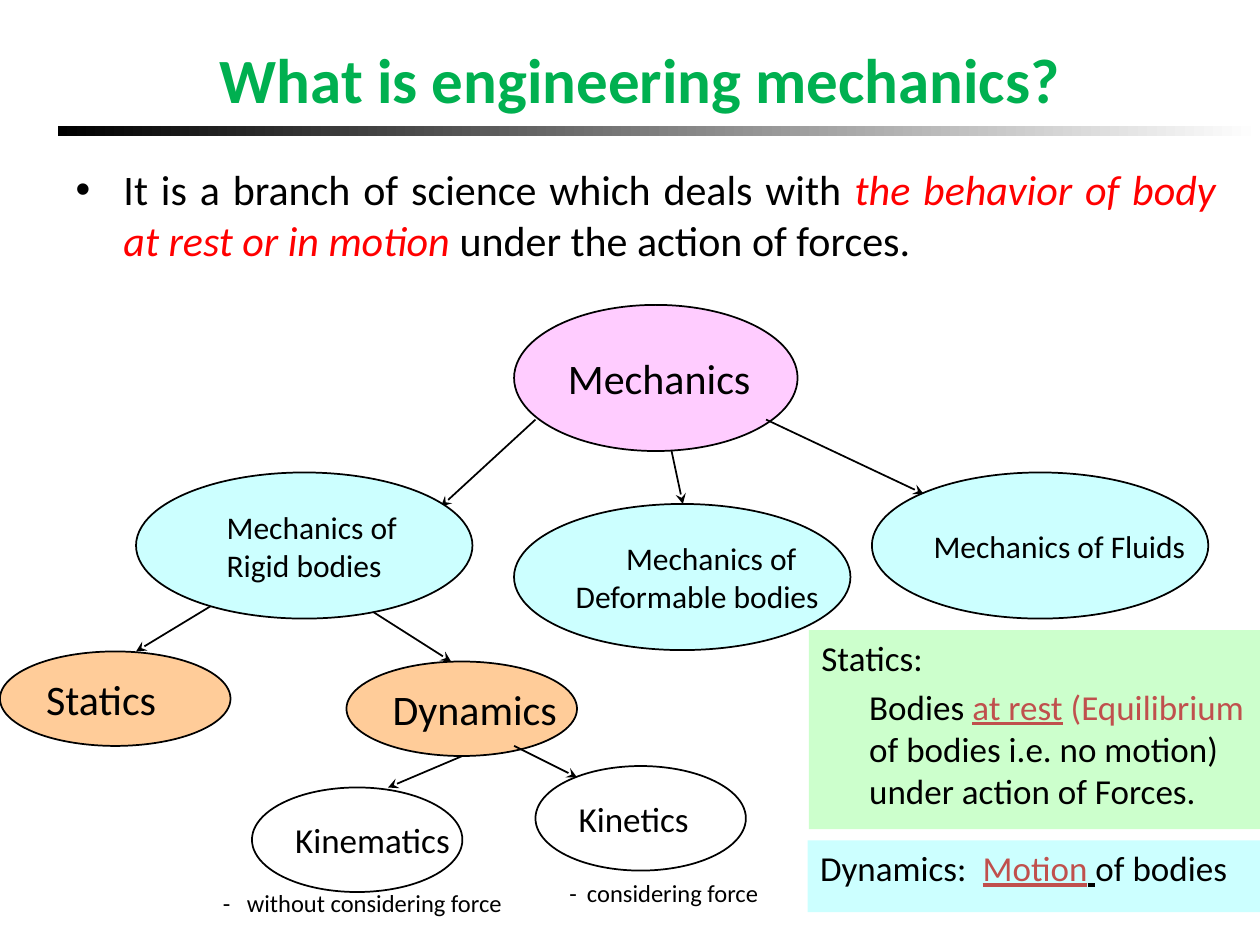
from dataclasses import dataclass

from lxml import etree
from pptx import Presentation
from pptx import util as u
from pptx.dml.color import RGBColor
from pptx.enum import shapes, text
from pptx.oxml import ns

BLACK = RGBColor(0x00, 0x00, 0x00)
WHITE = RGBColor(0xFF, 0xFF, 0xFF)
GREEN = RGBColor(0x00, 0xB0, 0x50)
RED = RGBColor(0xFF, 0x00, 0x00)
BRICK = RGBColor(0xC0, 0x50, 0x4D)
PINK = RGBColor(0xFF, 0xCC, 0xFF)
AQUA = RGBColor(0xCC, 0xFF, 0xFF)
ORANGE = RGBColor(0xFF, 0xCC, 0x99)
MINT = RGBColor(0xCC, 0xFF, 0xCC)
FONT = "Calibri"


@dataclass
class Run:
    words: str
    color: RGBColor = BLACK
    bold: bool = False
    italic: bool = False
    underline: bool = False


@dataclass
class Line:
    words: str
    indent: float = 0


@dataclass
class Topic:
    """An ellipse of the tree."""
    left: float
    top: float
    width: float
    height: float
    lines: list[Line]
    size: int
    fill: RGBColor | None = None


@dataclass
class Arrow:
    start: tuple[float, float]
    end: tuple[float, float]


@dataclass
class Caption:
    left: float
    top: float
    width: float
    words: str
    tab: float


# From back to front: some arrow ends are tucked under the ellipses
TREE = [
    Topic(4.08, 2.42, 2.25, 1.16, [Line("Mechanics")], 24, PINK),
    Arrow((4.25, 3.33), (3.5, 4.02)),
    Arrow((5.33, 3.58), (5.42, 4)),
    Topic(6.92, 3.75, 2.67, 1.16, [Line("Mechanics of Fluids")], 18, AQUA),
    Arrow((2.4, 4.37), (1.08, 5.17)),
    Arrow((2.92, 4.83), (3.58, 5.25)),
    Topic(2, 6.25, 1.67, 0.83, [Line("Kinematics")], 20),
    Topic(4.25, 6.08, 1.67, 0.83, [Line("Kinetics")], 20),
    Arrow((6.08, 3.33), (7.33, 3.92)),
    Topic(4.08, 4, 2.67, 1.16,
          [Line("Mechanics of", 0.4), Line("Deformable bodies")], 18, AQUA),
    Topic(1.08, 3.75, 2.67, 1.16,
          [Line("Mechanics of", 0.23), Line("Rigid bodies", 0.23)], 18, AQUA),
    Topic(0, 5.17, 1.83, 0.75, [Line("Statics")], 24, ORANGE),
    Topic(2.75, 5.25, 1.83, 0.75, [Line("Dynamics")], 24, ORANGE),
    Arrow((4.08, 5.92), (4.58, 6.17)),
    Arrow((3.67, 6), (3.08, 6.25)),
]

CAPTIONS = [
    Caption(1.67, 7, 2.42, "-\twithout considering force", 0.19),
    Caption(4.42, 6.92, 1.75, "-\tconsidering force", 0.14),
]


def place(shape, left: float, top: float, width: float, height: float) -> None:
    shape.left, shape.top = u.Inches(left), u.Inches(top)
    shape.width, shape.height = u.Inches(width), u.Inches(height)


def set_indent(paragraph, margin: float, first: float = 0) -> None:
    properties = paragraph._p.get_or_add_pPr()
    properties.set("marL", str(u.Inches(margin)))
    properties.set("indent", str(u.Inches(first)))


def set_tab(paragraph, position: float) -> None:
    stops = etree.SubElement(paragraph._p.get_or_add_pPr(), ns.qn("a:tabLst"))
    etree.SubElement(stops, ns.qn("a:tab"), pos=str(u.Inches(position)), algn="l")


def add_runs(paragraph, size: int, *runs: Run) -> None:
    for part in runs:
        run = paragraph.add_run()
        run.text = part.words
        font = run.font
        font.name, font.size = FONT, u.Pt(size)
        font.color.rgb = part.color
        font.bold, font.italic = part.bold, part.italic
        font.underline = part.underline


def add_preset(slide, preset, left: float, top: float, width: float, height: float):
    shape = slide.shapes.add_shape(preset, u.Inches(left), u.Inches(top),
                                   u.Inches(width), u.Inches(height))
    shape.shadow.inherit = False
    return shape


def add_topic(slide, topic: Topic) -> None:
    ellipse = add_preset(slide, shapes.MSO_SHAPE.OVAL,
                         topic.left, topic.top, topic.width, topic.height)
    if topic.fill is None:
        ellipse.fill.background()
    else:
        ellipse.fill.solid()
        ellipse.fill.fore_color.rgb = topic.fill
    ellipse.line.color.rgb = BLACK
    ellipse.line.width = u.Pt(1)
    frame = ellipse.text_frame
    frame.word_wrap = False
    frame.vertical_anchor = text.MSO_ANCHOR.MIDDLE
    for index, line in enumerate(topic.lines):
        paragraph = frame.add_paragraph() if index else frame.paragraphs[0]
        paragraph.alignment = text.PP_ALIGN.LEFT
        set_indent(paragraph, line.indent)
        add_runs(paragraph, topic.size, Run(line.words))


def add_arrow(slide, arrow: Arrow) -> None:
    connector = slide.shapes.add_connector(
        shapes.MSO_CONNECTOR.STRAIGHT,
        *map(u.Inches, arrow.start), *map(u.Inches, arrow.end))
    connector.line.color.rgb = BLACK
    connector.line.width = u.Pt(1)
    etree.SubElement(connector.line._get_or_add_ln(), ns.qn("a:tailEnd"), type="stealth")
    etree.SubElement(connector._element.spPr, ns.qn("a:effectLst"))


def add_definition(slide, left: float, top: float, width: float, height: float,
                   fill: RGBColor):
    """Add a borderless box and return its text frame."""
    box = add_preset(slide, shapes.MSO_SHAPE.RECTANGLE, left, top, width, height)
    box.fill.solid()
    box.fill.fore_color.rgb = fill
    box.line.fill.background()
    frame = box.text_frame
    frame.word_wrap = True
    frame.vertical_anchor = text.MSO_ANCHOR.TOP
    frame.paragraphs[0].alignment = text.PP_ALIGN.LEFT
    return frame


def add_caption(slide, caption: Caption) -> None:
    box = slide.shapes.add_textbox(u.Inches(caption.left), u.Inches(caption.top),
                                   u.Inches(caption.width), u.Inches(0.34))
    box.text_frame.word_wrap = True
    paragraph = box.text_frame.paragraphs[0]
    set_tab(paragraph, caption.tab)
    add_runs(paragraph, 14, Run(caption.words))


def main() -> None:
    deck = Presentation()
    deck.slide_width, deck.slide_height = u.Inches(10), u.Inches(7.5)
    slide = deck.slides.add_slide(deck.slide_layouts[1])

    title, body = slide.placeholders
    place(title, 0.58, 0, 9, 1.25)
    title.text_frame.vertical_anchor = text.MSO_ANCHOR.MIDDLE
    heading = title.text_frame.paragraphs[0]
    heading.alignment = text.PP_ALIGN.CENTER
    add_runs(heading, 36, Run("What is engineering mechanics?", GREEN, bold=True))

    place(body, 0.5, 1.25, 9.25, 5.2)
    meaning = body.text_frame.paragraphs[0]
    meaning.alignment = text.PP_ALIGN.JUSTIFY
    meaning.space_before = u.Pt(0)
    set_indent(meaning, 0.38, -0.38)
    add_runs(meaning, 24, Run("It is a branch of science which deals with "),
             Run("the behavior of body at rest or in motion ", RED, italic=True),
             Run("under the action of forces."))

    for part in TREE:
        if isinstance(part, Topic):
            add_topic(slide, part)
        else:
            add_arrow(slide, part)

    statics = add_definition(slide, 6.42, 5, 3.58, 1.58, MINT)
    add_runs(statics.paragraphs[0], 20, Run("Statics:"))
    at_rest = statics.add_paragraph()
    at_rest.alignment = text.PP_ALIGN.LEFT
    at_rest.space_before = u.Pt(4)
    set_indent(at_rest, 0.38)
    add_runs(at_rest, 20, Run("Bodies "), Run("at rest", BRICK, underline=True),
             Run(" (Equilibrium", BRICK),
             Run(" of bodies i.e. no motion) under action of Forces."))

    dynamics = add_definition(slide, 6.41, 6.67, 3.59, 0.57, AQUA).paragraphs[0]
    set_tab(dynamics, 1.29)
    add_runs(dynamics, 20, Run("Dynamics:\t"), Run("Motion", BRICK, underline=True),
             Run(" ", underline=True), Run("of bodies"))

    for caption in CAPTIONS:
        add_caption(slide, caption)

    rule = add_preset(slide, shapes.MSO_SHAPE.RECTANGLE, 0.46, 1, 9.54, 0.08)
    rule.line.fill.background()
    rule.fill.gradient()
    rule.fill.gradient_angle = 0
    for stop, position, color in zip(rule.fill.gradient_stops, (0, 1), (BLACK, WHITE)):
        stop.position = position
        stop.color.rgb = color

    deck.save("out.pptx")


if __name__ == "__main__":
    main()
